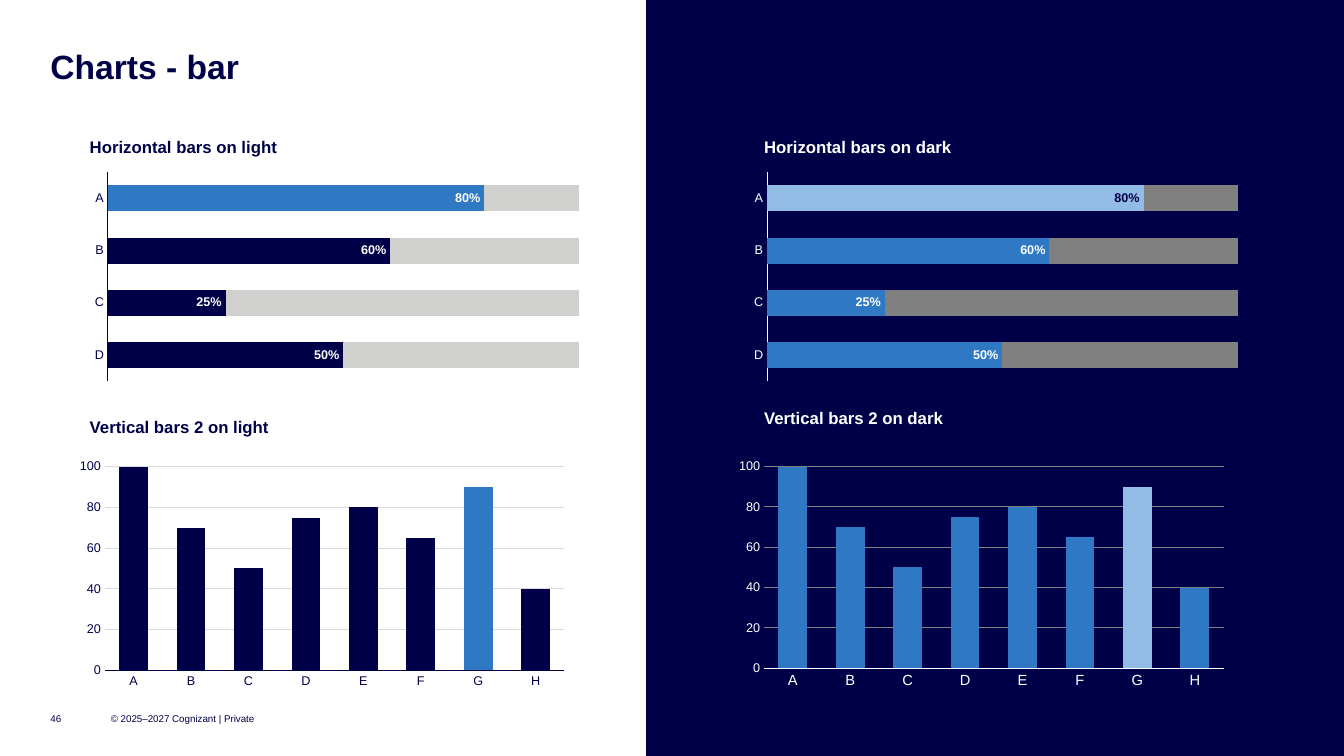
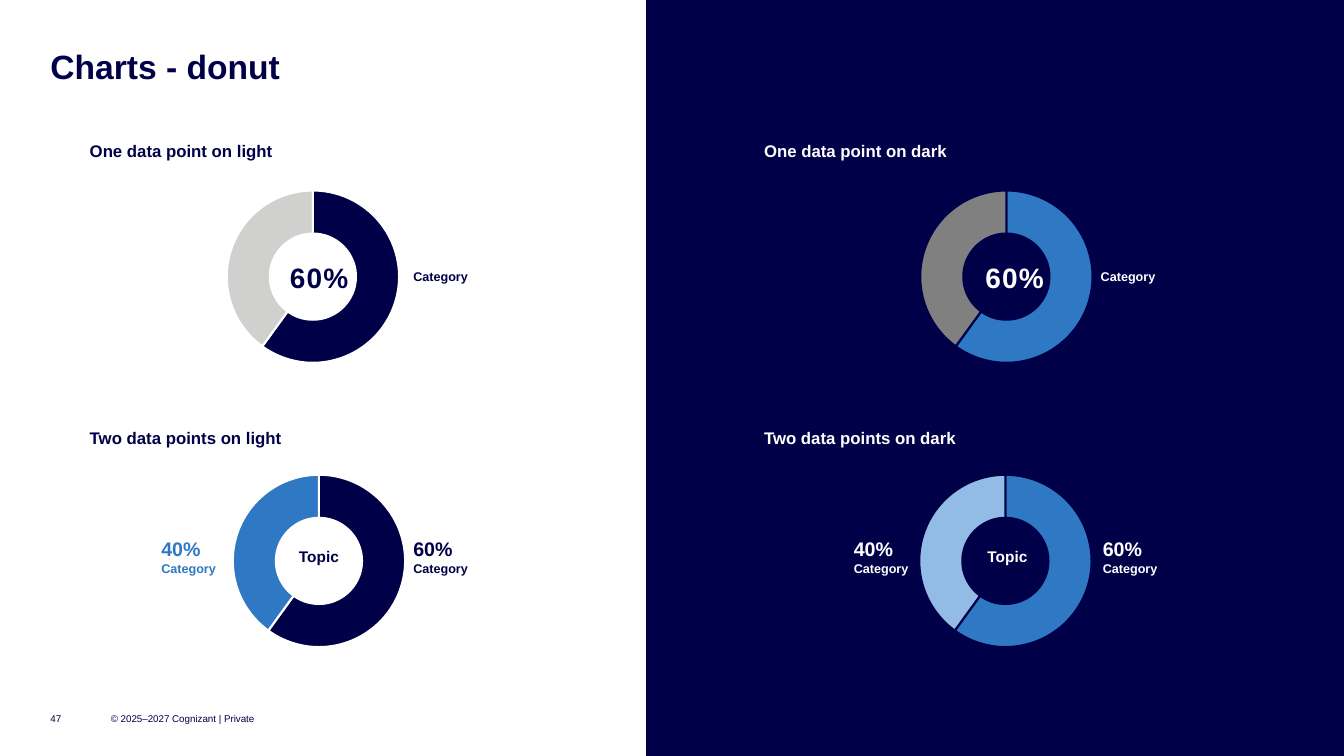
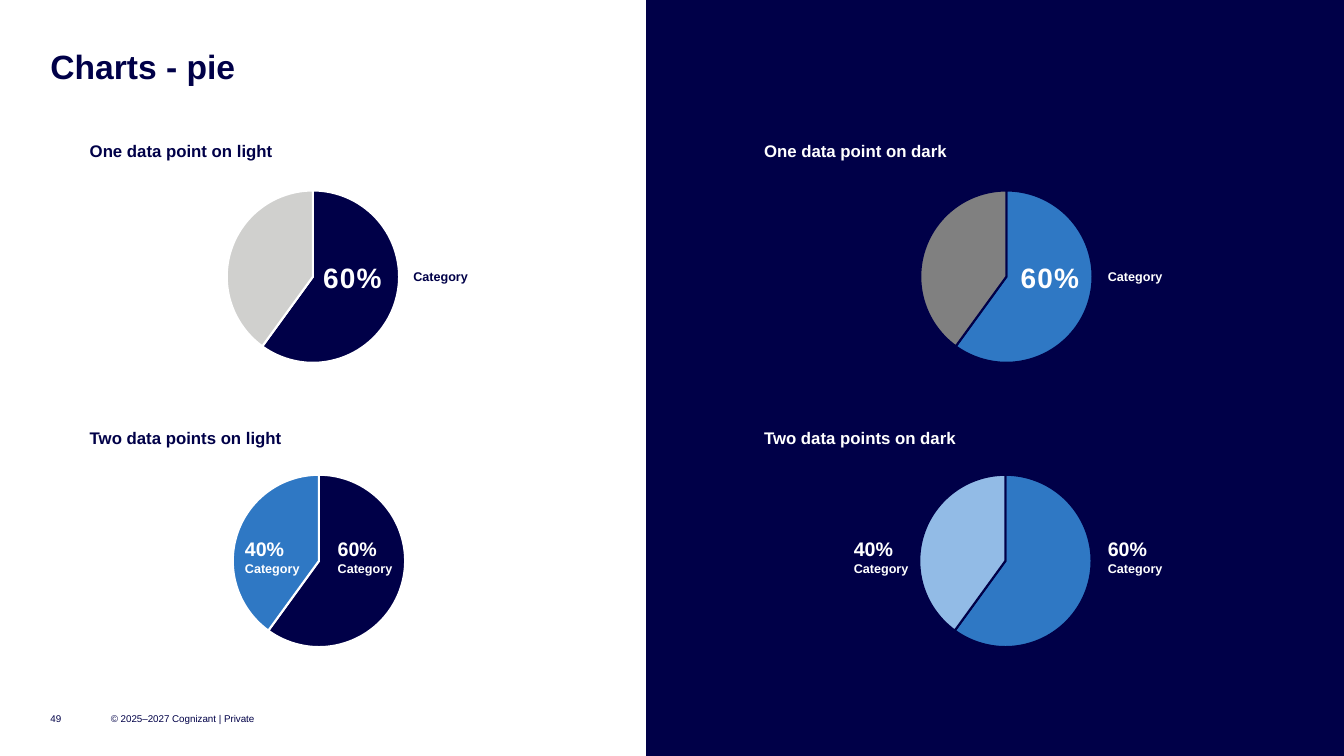
from pptx import Presentation
from pptx.chart.data import CategoryChartData
from pptx.dml.color import RGBColor
from pptx.enum.chart import XL_CHART_TYPE as Kind, XL_LABEL_POSITION as LabelPos, XL_TICK_MARK as Tick
from pptx.enum.shapes import MSO_SHAPE as Shape
from pptx.enum.text import MSO_ANCHOR as Anchor, MSO_AUTO_SIZE as AutoSize, PP_ALIGN as Align
from pptx.oxml import parse_xml
from pptx.oxml.ns import nsdecls
from pptx.util import Pt

PX = 9144  # 100 px to the inch
FONT = "Arial"
HEX = {
    "navy": "000048",
    "blue": "2F78C4",
    "sky": "92BBE6",
    "white": "FFFFFF",
    "silver": "D0D0CE",
    "gray": "808080",
    "grid": "D9D9D9",
}
COLOR = {name: RGBColor.from_string(value) for name, value in HEX.items()}

# One entry for each half of a slide.
HALVES = {
    "light": {"ground": "white", "ink": "navy", "main": "navy", "accent": "blue",
              "rest": "silver", "grid": "grid", "left": 89},
    "dark": {"ground": "navy", "ink": "white", "main": "blue", "accent": "sky",
             "rest": "gray", "grid": "gray", "left": 758},
}


def write(page, at, lines, color, bold=True, wrap=True, grow=True,
          align=Align.LEFT, spacing=None, tracking=None):
    """Add one paragraph; lines holds (text, point size) pairs split by line breaks."""
    box = page.shapes.add_textbox(*(value * PX for value in at))
    frame = box.text_frame
    settings = {
        "margin_left": 0, "margin_top": 0, "margin_right": 0, "margin_bottom": 0,
        "word_wrap": wrap,
        "auto_size": AutoSize.SHAPE_TO_FIT_TEXT if grow else AutoSize.NONE,
        "vertical_anchor": Anchor.TOP if grow else Anchor.MIDDLE,
    }
    for name, value in settings.items():
        setattr(frame, name, value)
    para = frame.paragraphs[0]
    para.alignment = align
    para.line_spacing = spacing
    for index, (text, size) in enumerate(lines):
        if index:
            para.add_line_break()
        span = para.add_run()
        span.text = text
        for name, value in {"name": FONT, "size": Pt(size), "bold": bold}.items():
            setattr(span.font, name, value)
        span.font.color.rgb = COLOR[color]
        if tracking:
            span._r.get_or_add_rPr().set("spc", str(tracking))


def place_chart(page, kind, at, plot_box, categories, series, number_format="General"):
    """Add a chart whose plot area fills plot_box, in px from the chart's corner."""
    data = CategoryChartData(number_format=number_format)
    data.categories = categories
    for index, values in enumerate(series, 1):
        data.add_series(f"Series {index}", values)
    chart = page.shapes.add_chart(kind, *(value * PX for value in at), data).chart
    chart.has_legend = False
    chart.has_title = False
    chart.font.name, chart.font.size = FONT, Pt(10)
    chart.font.color.rgb = COLOR["navy"]
    area = chart._chartSpace.xpath(".//c:plotArea")[0]
    for old in area.xpath("./c:layout"):
        area.remove(old)
    x, y, w, h = (part / at[2 + i % 2] for i, part in enumerate(plot_box))
    area.insert(0, parse_xml(
        f'<c:layout {nsdecls("c")}><c:manualLayout><c:layoutTarget val="inner"/>'
        f'<c:xMode val="edge"/><c:yMode val="edge"/><c:x val="{x:.4f}"/><c:y val="{y:.4f}"/>'
        f'<c:w val="{w:.4f}"/><c:h val="{h:.4f}"/></c:manualLayout></c:layout>'))
    return chart


deck = Presentation()
deck.slide_width, deck.slide_height = 12192000, 750 * PX

pages = {}
for topic, number in {"bar": 46, "donut": 47, "pie": 49}.items():
    page = pages[topic] = deck.slides.add_slide(deck.slide_layouts[6])
    panel = page.shapes.add_shape(Shape.RECTANGLE, 641 * PX, 0, 693 * PX, 750 * PX)
    panel.shadow.inherit = False
    panel.fill.solid()
    panel.fill.fore_color.rgb = COLOR["navy"]
    panel.line.fill.background()
    write(page, (50, 50, 1233, 36), [(f"Charts - {topic}", 24)], "navy", spacing=0.9)
    write(page, (50, 700, 40, 25), [(str(number), 7)], "navy", bold=False, grow=False)
    write(page, (110, 700, 150, 25), [("© 2025–2027 Cognizant | Private", 7)], "navy",
          bold=False, grow=False)

# Bar slide
SHARES = (0.5, 0.25, 0.6, 0.8)
HEIGHTS = (100, 70, 50, 75, 80, 65, 90, 40)
BAR_PLACES = {
    "light": {"bars": 84, "columns": 69, "second": 413, "plot_height": 202, "letters": 9},
    "dark": {"bars": 738, "columns": 723, "second": 405, "plot_height": 200, "letters": 10.5},
}
page = pages["bar"]
for name, half in HALVES.items():
    place = BAR_PLACES[name]
    for top, label in ((136, "Horizontal bars"), (place["second"], "Vertical bars 2")):
        write(page, (half["left"], top, 427, 20), [(f"{label} on {name}", 12)], half["ink"])

    bars = place_chart(page, Kind.BAR_STACKED_100, (place["bars"], 167, 500, 215),
                       (23, 4, 467, 207), "DCBA",
                       [SHARES, [round(1 - share, 2) for share in SHARES]], "0%")
    columns = place_chart(page, Kind.COLUMN_CLUSTERED, (place["columns"], 452, 500, 237),
                          (35, 11, 456, place["plot_height"]), "ABCDEFGH", [HEIGHTS])

    for chart, accent_index, size in ((bars, 3, 9), (columns, 6, place["letters"])):
        plot = chart.plots[0]
        plot.vary_by_categories = False
        plot.gap_width = 100
        for series, fill in zip(plot.series, ("main", "rest")):
            series.format.fill.solid()
            series.format.fill.fore_color.rgb = COLOR[half[fill]]
        accent = plot.series[0].points[accent_index].format.fill
        accent.solid()
        accent.fore_color.rgb = COLOR[half["accent"]]
        for axis, points in ((chart.category_axis, size), (chart.value_axis, 9)):
            axis.major_tick_mark = axis.minor_tick_mark = Tick.NONE
            font = axis.tick_labels.font
            font.name, font.size = FONT, Pt(points)
            font.color.rgb = COLOR[half["ink"]]
        axis_line = chart.category_axis.format.line
        axis_line.width = Pt(0.75)
        axis_line.color.rgb = COLOR[half["ink"]]

    bars.plots[0].overlap = 100
    bars.value_axis.visible = False
    bars.value_axis.has_major_gridlines = False
    shares = bars.plots[0].series[0]
    labels = shares.data_labels
    for key, value in {"show_value": True, "position": LabelPos.INSIDE_END,
                       "number_format": "0%", "number_format_is_linked": False}.items():
        setattr(labels, key, value)
    label_fonts = [(labels.font, "white")]
    if name == "dark":
        accent_label = shares.points[3].data_label
        label_fonts.append((accent_label.font, "navy"))
        accent_label.position = LabelPos.INSIDE_END
    for font, color in label_fonts:
        font.name, font.size, font.bold = FONT, Pt(9), True
        font.color.rgb = COLOR[color]

    scale = columns.value_axis
    for key, value in {"minimum_scale": 0, "maximum_scale": 100, "major_unit": 20}.items():
        setattr(scale, key, value)
    scale.format.line.fill.background()
    grid = scale.major_gridlines.format.line
    grid.width = Pt(0.75)
    grid.color.rgb = COLOR[half["grid"]]

# Donut and pie slides
ROUND_PLACES = {"light": (160, 166), "dark": (848, 847)}
# left of: big share, its category, then the left and right pair; then their colours
LABELS = {
    ("donut", "light"): ((287, 410, 160, 410), ("navy", "navy", "blue", "navy")),
    ("donut", "dark"): ((977, 1092, 847, 1094), ("white",) * 4),
    ("pie", "light"): ((320, 410, 243, 335), ("white", "navy", "white", "white")),
    ("pie", "dark"): ((1012, 1099, 847, 1099), ("white",) * 4),
}
TOPIC_LEFT = {"light": 296, "dark": 979}
for (topic, name), (lefts, inks) in LABELS.items():
    page, half = pages[topic], HALVES[name]
    rows = ((140, "One data point", 175, "rest"), (424, "Two data points", 457, "accent"))
    for (top, label, chart_top, second), left in zip(rows, ROUND_PLACES[name]):
        write(page, (half["left"], top, 258, 20), [(f"{label} on {name}", 12)], half["ink"])
        chart = place_chart(page, Kind.DOUGHNUT if topic == "donut" else Kind.PIE,
                            (left, chart_top, 301, 200), (65, 14, 171, 171), "12", [(60, 40)])
        for hole in chart._chartSpace.xpath(".//c:holeSize"):
            hole.set("val", "68")
        for index, fill in enumerate(("main", second)):
            wedge = chart.plots[0].series[0].points[index].format
            wedge.fill.solid()
            wedge.fill.fore_color.rgb = COLOR[half[fill]]
            wedge.line.width = Pt(1.5)
            wedge.line.color.rgb = COLOR[half["ground"]]

    write(page, (lefts[0], 258, 59, 34), [("60%", 20)], inks[0], wrap=False,
          align=Align.CENTER, tracking=80)
    write(page, (lefts[1], 267, 55, 15), [("Category", 9)], inks[1], wrap=False)
    for share, left, ink in zip(("40%", "60%"), lefts[2:], inks[2:]):
        write(page, (left, 533, 55, 39), [(share, 14), ("Category", 9)], ink, wrap=False)
    if topic == "donut":
        write(page, (TOPIC_LEFT[name], 543, 41, 19), [("Topic", 11)], half["ink"],
              wrap=False, align=Align.CENTER)

deck.save("out.pptx")
